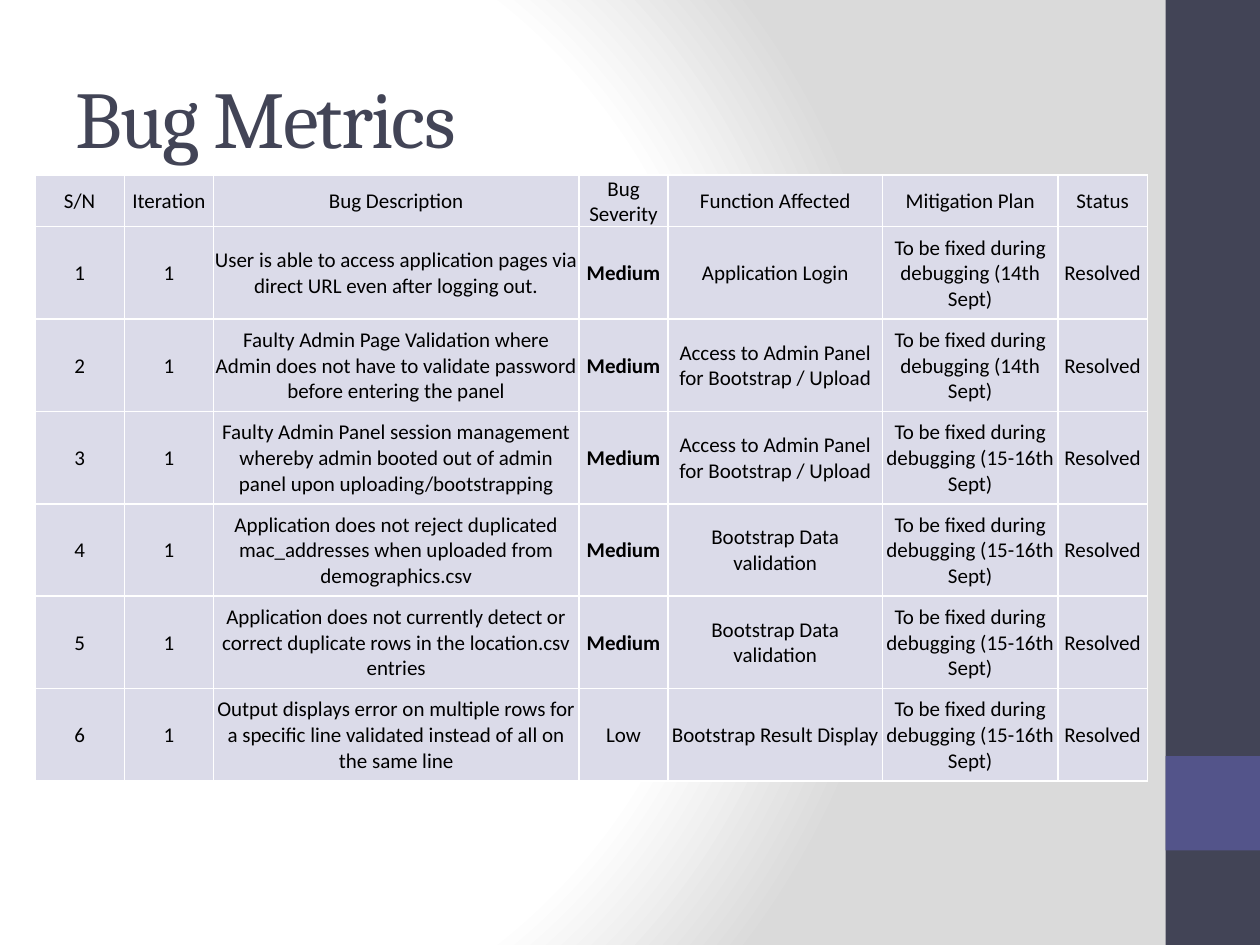
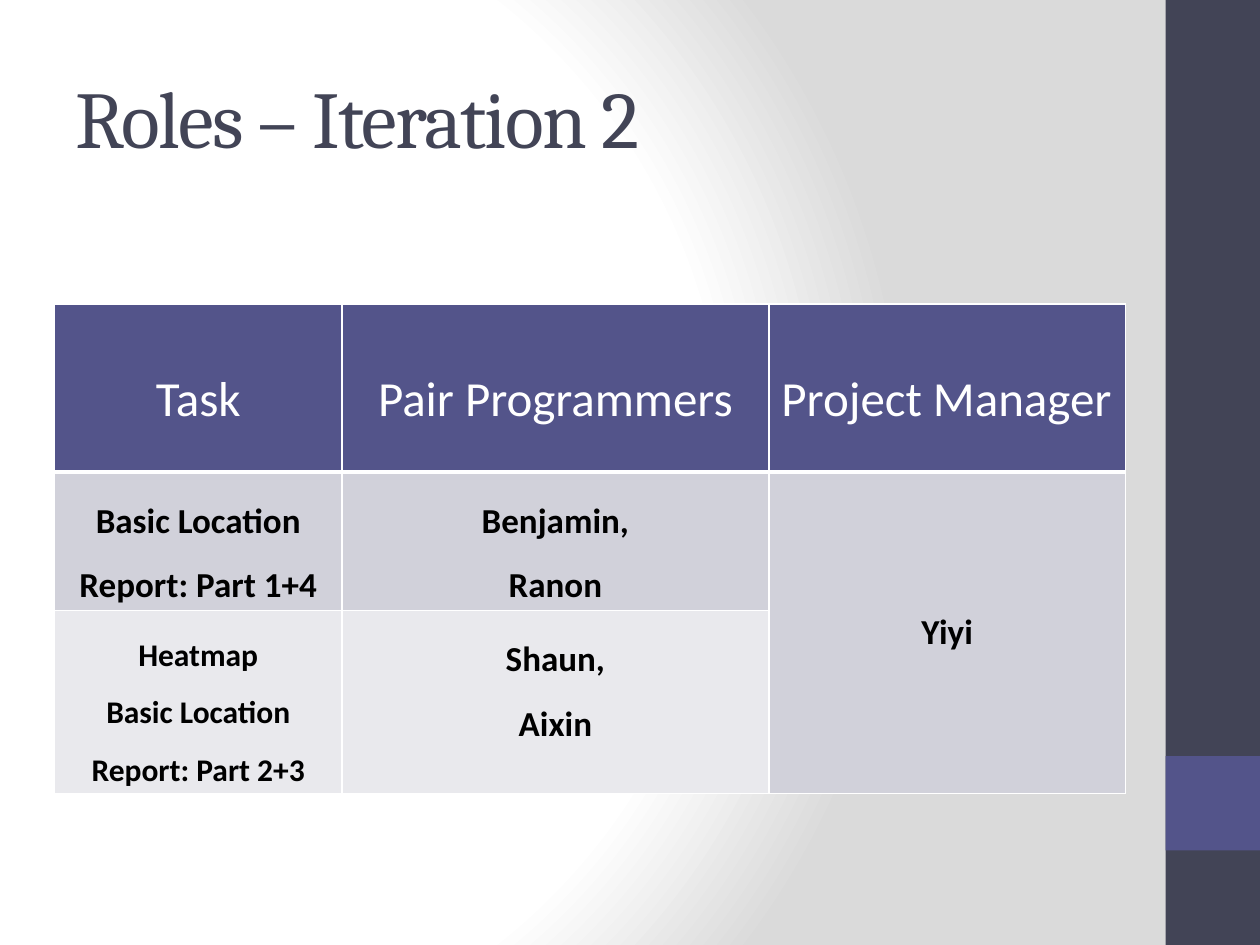
from pptx import Presentation
from pptx.dml.color import RGBColor
from pptx.enum.shapes import MSO_SHAPE
from pptx.enum.text import MSO_ANCHOR, PP_ALIGN
from pptx.oxml import parse_xml
from pptx.oxml.ns import nsdecls
from pptx.util import Pt

RECTANGLE = MSO_SHAPE.RECTANGLE
TOP, MIDDLE = MSO_ANCHOR.TOP, MSO_ANCHOR.MIDDLE
LEFT, CENTER = PP_ALIGN.LEFT, PP_ALIGN.CENTER

COLORS = {
    "white": "FFFFFF",
    "black": "000000",
    "backdrop": "DADADA",
    "slate": "424456",
    "indigo": "53548A",
    "bug_cell": "DBDBE9",
    "role_dark": "D1D1DA",
    "role_light": "E9E9ED",
}
BODY_FONT, TITLE_FONT = "Calibri", "Cambria"
SLIDE_WIDTH, SLIDE_HEIGHT, BAND_WIDTH = 720, 540, 54

TIGHT_MARGINS = {"margin_left": Pt(0.72), "margin_right": Pt(0.72),
                 "margin_top": Pt(0.72), "margin_bottom": 0}

BUG_HEADINGS = ["S/N", "Iteration", "Bug Description", "Bug Severity",
                "Function Affected", "Mitigation Plan", "Status"]
BUG_WIDTHS = [51, 51, 208.8, 51, 122.4, 100.4, 51]
BUGS = [
    ("User is able to access application pages via direct URL even after logging out.",
     "Medium", "Application Login", "14th"),
    ("Faulty Admin Page Validation where Admin does not have to validate password "
     "before entering the panel",
     "Medium", "Access to Admin Panel for Bootstrap / Upload", "14th"),
    ("Faulty Admin Panel session management whereby admin booted out of admin panel "
     "upon uploading/bootstrapping",
     "Medium", "Access to Admin Panel for Bootstrap / Upload", "15-16th"),
    ("Application does not reject duplicated mac_addresses when uploaded from "
     "demographics.csv",
     "Medium", "Bootstrap Data validation", "15-16th"),
    ("Application does not currently detect or correct duplicate rows in the "
     "location.csv entries",
     "Medium", "Bootstrap Data validation", "15-16th"),
    ("Output displays error on multiple rows for a specific line validated instead of "
     "all on the same line",
     "Low", "Bootstrap Result Display", "15-16th"),
]

ROLE_HEADINGS = [("Task", CENTER), ("Pair Programmers", CENTER), ("Project Manager", LEFT)]
ROLE_WIDTHS = [164.2, 244, 203.8]
ROLES = [
    (["Basic Location Report: Part 1+4"], 20, ["Benjamin,", "Ranon"], "role_dark"),
    (["Heatmap", "Basic Location Report: Part 2+3"], 18, ["Shaun,", "Aixin"], "role_light"),
]


def color(name):
    return RGBColor.from_string(COLORS[name])


def apply_format(target, values):
    for attribute, value in values.items():
        setattr(target, attribute, value)


def write_lines(frame, lines, size, ink, font=BODY_FONT, bold=False, align=LEFT, spacing=1.0):
    for index, line in enumerate(lines):
        paragraph = frame.add_paragraph() if index else frame.paragraphs[0]
        apply_format(paragraph, {"alignment": align, "line_spacing": spacing})
        run = paragraph.add_run()
        run.text = line
        apply_format(run.font, {"name": font, "size": Pt(size), "bold": bold})
        run.font.color.rgb = color(ink)


def paint_background(slide):
    stops = "".join(
        f'<a:gs pos="{position * 1000}"><a:srgbClr val="{COLORS[name]}"/></a:gs>'
        for position, name in [(0, "white"), (75, "white"), (100, "backdrop")])
    slide.element.cSld.insert(0, parse_xml(
        f'<p:bg {nsdecls("p", "a")}><p:bgPr><a:gradFill rotWithShape="1">'
        f'<a:gsLst>{stops}</a:gsLst><a:path path="circle">'
        '<a:fillToRect l="20000" t="50000" r="100000" b="50000"/></a:path>'
        '</a:gradFill><a:effectLst/></p:bgPr></p:bg>'))


def add_band(slide, top, height, fill):
    band = slide.shapes.add_shape(
        RECTANGLE, Pt(SLIDE_WIDTH - BAND_WIDTH), Pt(top), Pt(BAND_WIDTH), Pt(height))
    band.shadow.inherit = False
    band.fill.solid()
    band.fill.fore_color.rgb = color(fill)
    band.line.fill.background()


def add_title(slide, text):
    frame = slide.shapes.add_textbox(Pt(36), Pt(21.6), Pt(600), Pt(90)).text_frame
    apply_format(frame, {"word_wrap": True, "vertical_anchor": MIDDLE})
    write_lines(frame, [text], 46, "slate", TITLE_FONT)
    frame.paragraphs[0].runs[0].font._element.set("spc", "-100")


def add_titled_slide(deck, title):
    slide = deck.slides.add_slide(deck.slide_layouts[6])
    paint_background(slide)
    add_band(slide, 0, SLIDE_HEIGHT, "slate")
    add_band(slide, 432, BAND_WIDTH, "indigo")
    add_title(slide, title)
    return slide


def add_grid(slide, left, top, widths, heights):
    grid = slide.shapes.add_table(
        len(heights), len(widths), Pt(left), Pt(top),
        Pt(sum(widths)), Pt(sum(heights))).table
    apply_format(grid, {"first_row": False, "horz_banding": False})
    for column, width in zip(grid.columns, widths):
        column.width = Pt(width)
    for row, height in zip(grid.rows, heights):
        row.height = Pt(height)
    return grid


def style_cell(cell, fill, anchor=TOP, margins=None, top_rule=1, bottom_rule=1):
    apply_format(cell, {"vertical_anchor": anchor, **(margins or {})})
    cell.fill.solid()
    cell.fill.fore_color.rgb = color(fill)
    rules = {"lnL": 1, "lnR": 1, "lnT": top_rule, "lnB": bottom_rule}
    properties = cell._tc.get_or_add_tcPr()
    for index, (side, width) in enumerate(rules.items()):
        properties.insert(index, parse_xml(
            f'<a:{side} {nsdecls("a")} w="{Pt(width)}"><a:solidFill>'
            f'<a:srgbClr val="{COLORS["white"]}"/></a:solidFill></a:{side}>'))


def build_bug_metrics(deck):
    slide = add_titled_slide(deck, "Bug Metrics")
    grid = add_grid(slide, 20, 100, BUG_WIDTHS, [24] + [52.8] * len(BUGS))
    records = [BUG_HEADINGS] + [
        [str(number), "1", description, severity, function,
         f"To be fixed during debugging ({date} Sept)", "Resolved"]
        for number, (description, severity, function, date) in enumerate(BUGS, 1)]
    for row, record in enumerate(records):
        for column, text in enumerate(record):
            cell = grid.cell(row, column)
            style_cell(cell, "bug_cell", MIDDLE, TIGHT_MARGINS)
            write_lines(cell.text_frame, [text], 12, "black",
                        bold=text == "Medium", align=CENTER)


def build_roles(deck):
    slide = add_titled_slide(deck, "Roles – Iteration 2")
    grid = add_grid(slide, 31.2, 173.8, ROLE_WIDTHS, [96, 75.6, 75.6])
    for column, (heading, align) in enumerate(ROLE_HEADINGS):
        cell = grid.cell(0, column)
        style_cell(cell, "indigo", bottom_rule=3)
        write_lines(cell.text_frame, [heading], 28, "white", align=align, spacing=2.0)
    for row, (task, task_size, programmers, fill) in enumerate(ROLES, 1):
        top_rule = 3 if row == 1 else 1
        for column, (lines, size) in enumerate([(task, task_size), (programmers, 20)]):
            cell = grid.cell(row, column)
            style_cell(cell, fill, top_rule=top_rule)
            write_lines(cell.text_frame, lines, size, "black",
                        bold=True, align=CENTER, spacing=1.5)
        style_cell(grid.cell(row, 2), "role_dark", MIDDLE, top_rule=top_rule)
    manager = grid.cell(1, 2)
    manager.merge(grid.cell(2, 2))
    write_lines(manager.text_frame, ["Yiyi"], 20, "black", bold=True, align=CENTER)


def main():
    deck = Presentation()
    apply_format(deck, {"slide_width": Pt(SLIDE_WIDTH), "slide_height": Pt(SLIDE_HEIGHT)})
    build_bug_metrics(deck)
    build_roles(deck)
    deck.save("out.pptx")


main()
